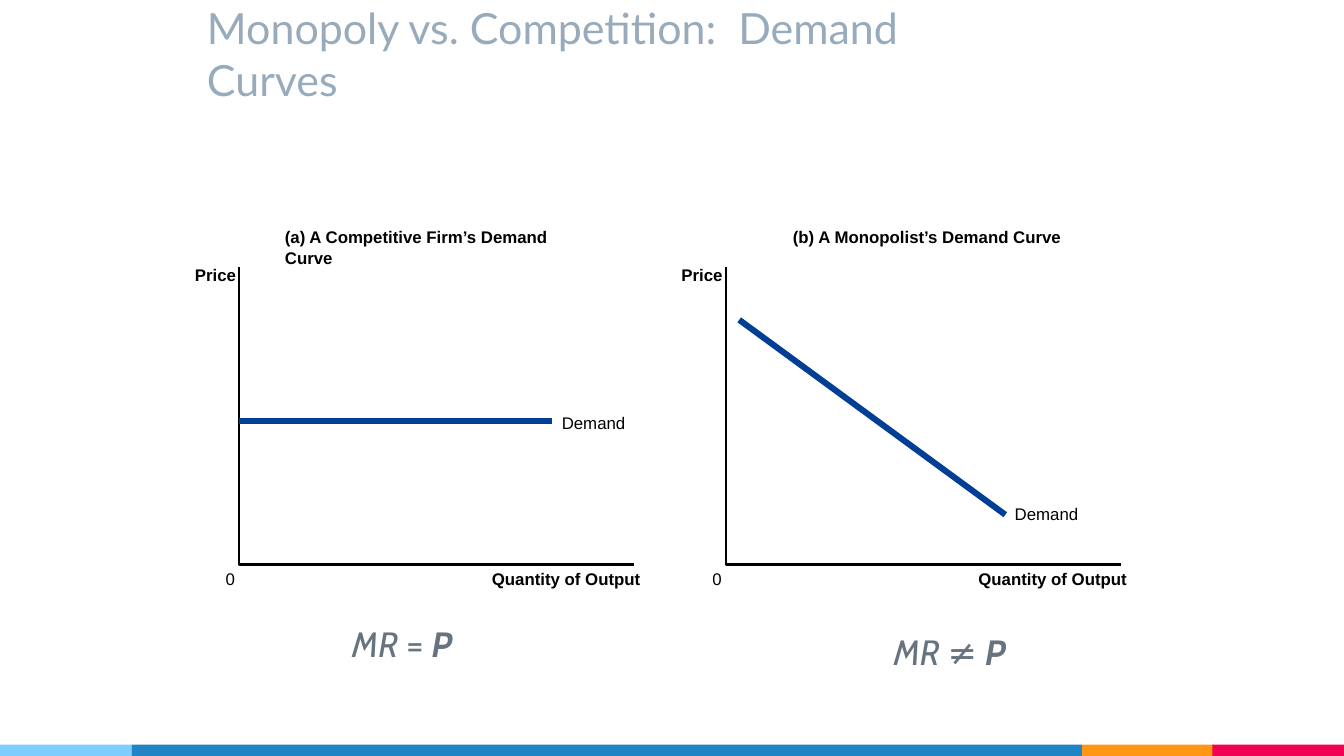
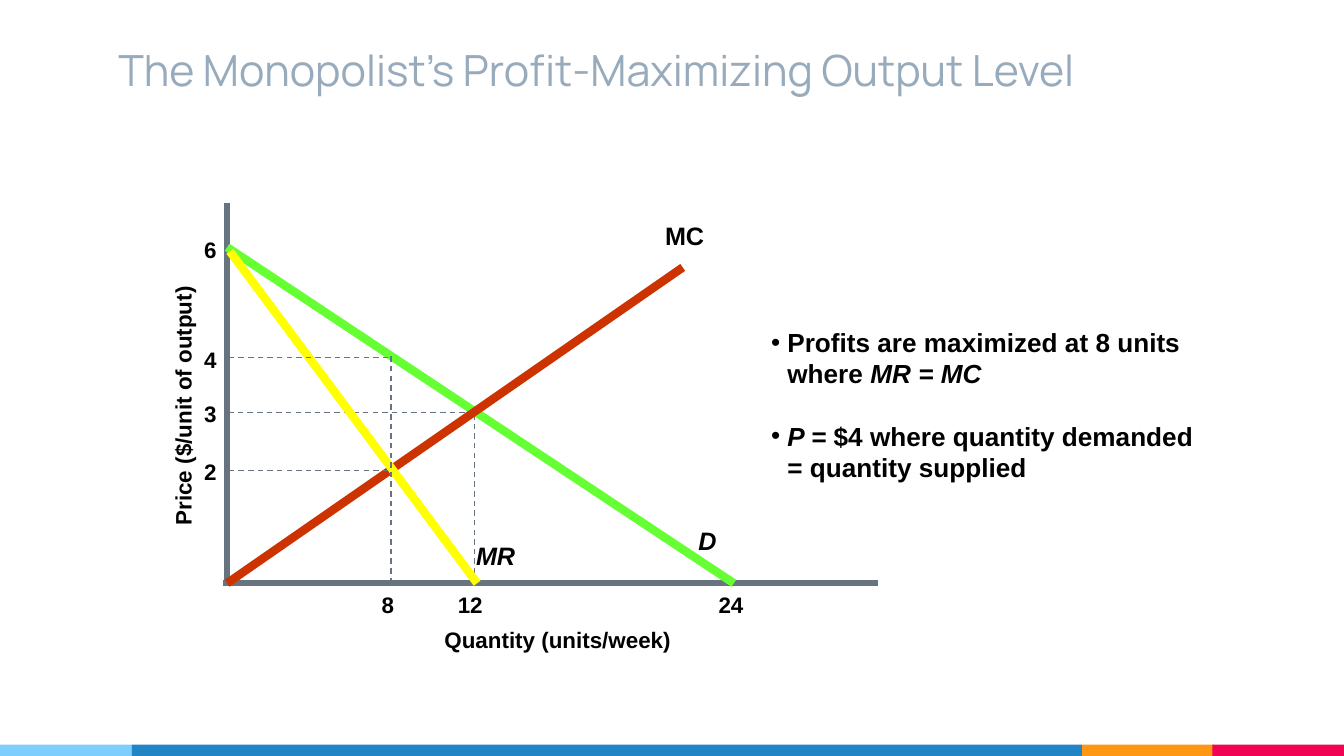
"""Builds two slides on monopoly demand curves and profit-maximizing output."""
from dataclasses import dataclass
from typing import Optional, Sequence

from lxml.etree import SubElement
from pptx import Presentation
from pptx.dml.color import RGBColor
from pptx.enum.dml import MSO_LINE
from pptx.enum.shapes import MSO_CONNECTOR, MSO_SHAPE
from pptx.enum.text import MSO_ANCHOR, MSO_AUTO_SIZE, PP_ALIGN
from pptx.oxml.ns import qn
from pptx.slide import Slide, SlideLayout
from pptx.util import Inches, Pt

BLACK = RGBColor(0x00, 0x00, 0x00)
SLATE = RGBColor(0x67, 0x74, 0x80)
TITLE_GREY = RGBColor(0x97, 0xAB, 0xBC)
NAVY = RGBColor(0x00, 0x3F, 0x95)
GREEN = RGBColor(0x66, 0xFF, 0x33)
RED = RGBColor(0xCC, 0x33, 0x00)
YELLOW = RGBColor(0xFF, 0xFF, 0x00)
SKY = RGBColor(0x7E, 0xCE, 0xFD)
BLUE = RGBColor(0x21, 0x85, 0xC5)
ORANGE = RGBColor(0xFF, 0x97, 0x15)
PINK = RGBColor(0xF2, 0x02, 0x53)

SLIDE_WIDTH = Inches(10)
SLIDE_HEIGHT = Inches(10 * 9 / 16)
BAND_TOP = Inches(5.54)

Point = tuple[float, float]
Box = tuple[float, float, float, float]


@dataclass(frozen=True)
class Words:
    """A stretch of text with its own weight and slant."""
    text: str
    bold: bool = True
    italic: bool = False


@dataclass(frozen=True)
class Style:
    """How a label is set."""
    size: float
    font: str = "Arial"
    color: RGBColor = BLACK
    align: PP_ALIGN = PP_ALIGN.LEFT
    inset: Optional[float] = None
    wrap: bool = True


@dataclass(frozen=True)
class Band:
    """One colour of the footer strip."""
    left: float
    width: float
    color: RGBColor


@dataclass(frozen=True)
class Panel:
    """One demand diagram with its caption and revenue relation."""
    axis_x: float
    caption: str
    caption_left: float
    caption_width: float
    curve: tuple[Point, Point]
    demand_at: Point
    relation: str
    relation_at: Point


@dataclass(frozen=True)
class Tick:
    """A marked value, its place on the axis and the start of its label."""
    value: str
    place: float
    label: float


@dataclass(frozen=True)
class Stroke:
    """A straight line of the output diagram."""
    start: Point
    end: Point
    color: RGBColor = SLATE
    width: float = 0.75
    dashed: bool = True


BANDS = (
    Band(8.05, 0.98, ORANGE),
    Band(9.02, 0.98, PINK),
    Band(0, 0.98, SKY),
    Band(0.98, 7.07, BLUE),
)
SMALL = Style(9, inset=0, wrap=False)
RELATION = Style(18.8, "Cabin", SLATE)
AXIS_TITLE = Style(12, align=PP_ALIGN.CENTER)
TICK = Style(12, align=PP_ALIGN.RIGHT)
CURVE_NAME = Style(13.5, align=PP_ALIGN.RIGHT)
FREE_CURVE_NAME = Style(13.5, wrap=False)
BULLET = Style(14)

PANELS = (
    Panel(1.78, "(a) A Competitive Firm’s Demand Curve", 2.12, 2.34,
          ((1.78, 3.13), (4.11, 3.13)), (4.18, 3.07), " = ", (2.52, 4.58)),
    Panel(5.4, "(b) A Monopolist’s Demand Curve", 5.9, 2.0,
          ((5.5, 2.38), (7.48, 3.83)), (7.55, 3.75), " ≠ ", (6.55, 4.64)),
)

ORIGIN_X, ORIGIN_Y = 1.69, 4.34
GUIDE_X = 1.71
P6, P4, P3, P2 = PRICES = (
    Tick("6", 1.84, 1.71), Tick("4", 2.66, 2.53),
    Tick("3", 3.07, 2.93), Tick("2", 3.5, 3.36),
)
Q8, Q12, Q24 = QUANTITIES = (
    Tick("8", 2.91, 2.57), Tick("12", 3.53, 3.23), Tick("24", 5.46, 5.17),
)
STROKES = (
    Stroke((ORIGIN_X, 1.51), (ORIGIN_X, ORIGIN_Y), SLATE, 3, False),
    Stroke((1.66, ORIGIN_Y), (6.53, ORIGIN_Y), SLATE, 3, False),
    Stroke((Q12.place, ORIGIN_Y), (Q12.place, P3.place)),
    Stroke((Q12.place, P3.place), (GUIDE_X, P3.place)),
    Stroke((ORIGIN_X, P6.place), (Q24.place, ORIGIN_Y), GREEN, 4.5, False),
    Stroke((ORIGIN_X, ORIGIN_Y), (5.08, 1.99), RED, 4.5, False),
    Stroke((GUIDE_X, 1.87), (3.55, ORIGIN_Y), YELLOW, 4.5, False),
    Stroke((2.89, P2.place), (GUIDE_X, P2.place)),
    Stroke((Q8.place, ORIGIN_Y), (Q8.place, 2.65)),
    Stroke((2.89, P4.place), (GUIDE_X, P4.place)),
)
FINDINGS = (
    (Words("Profits are maximized at 8 units where "),
     Words("MR = MC", italic=True)),
    (Words("P = ", italic=True),
     Words("$4 where quantity demanded = quantity supplied")),
)


def add_bands(slide: Slide, layout: SlideLayout) -> None:
    """Draw the footer strip and hand it to the layout all slides share."""
    for placeholder in list(layout.placeholders)[1:]:
        layout.shapes.element.remove(placeholder.element)
    for band in BANDS:
        strip = slide.shapes.add_shape(
            MSO_SHAPE.RECTANGLE, Inches(band.left), BAND_TOP,
            Inches(band.width), SLIDE_HEIGHT - BAND_TOP)
        strip.shadow.inherit = False
        strip.fill.solid()
        strip.fill.fore_color.rgb = band.color
        strip.line.fill.background()
        layout.shapes.element.append(strip.element)


def set_title(slide: Slide, text: str, box: Box, font: str) -> None:
    """Place and style the title placeholder."""
    title = slide.shapes.title
    title.left, title.top, title.width, title.height = map(Inches, box)
    frame = title.text_frame
    frame.text = text
    frame.word_wrap = True
    frame.auto_size = MSO_AUTO_SIZE.NONE
    frame.vertical_anchor = MSO_ANCHOR.BOTTOM
    frame.margin_left = frame.margin_right = Inches(0.1)
    frame.margin_top = frame.margin_bottom = Inches(0.1)
    paragraph = frame.paragraphs[0]
    paragraph.alignment = PP_ALIGN.LEFT
    face = paragraph.runs[0].font
    face.name, face.size, face.color.rgb = font, Pt(23), TITLE_GREY


def add_label(slide: Slide, box: Box, style: Style,
              *lines: Sequence[Words], rotation: float = 0,
              bulleted: bool = False) -> None:
    """Add a text box with one paragraph for each line of words."""
    label = slide.shapes.add_textbox(*map(Inches, box))
    label.rotation = rotation
    frame = label.text_frame
    frame.word_wrap = style.wrap
    if not style.wrap:
        frame.auto_size = MSO_AUTO_SIZE.SHAPE_TO_FIT_TEXT
    if style.inset is not None:
        frame.margin_left = frame.margin_right = Inches(style.inset)
        frame.margin_top = frame.margin_bottom = Inches(style.inset)
    for index, line in enumerate(lines):
        paragraph = frame.add_paragraph() if index else frame.paragraphs[0]
        paragraph.alignment = style.align
        if index:
            paragraph.space_before = Pt(16.5)
        for words in line:
            run = paragraph.add_run()
            run.text = words.text
            face = run.font
            face.name, face.size = style.font, Pt(style.size)
            face.bold, face.italic = words.bold, words.italic
            face.color.rgb = style.color
        if bulleted:
            props = paragraph._p.get_or_add_pPr()
            props.set("marL", str(Inches(0.12)))
            props.set("indent", str(-Inches(0.12)))
            tint = SubElement(props, qn("a:buClr"))
            SubElement(tint, qn("a:srgbClr"), val=str(style.color))
            SubElement(props, qn("a:buFont"), typeface=style.font)
            SubElement(props, qn("a:buChar"), char="•")


def add_stroke(slide: Slide, stroke: Stroke) -> None:
    """Draw a straight line without shadow."""
    ends = map(Inches, (*stroke.start, *stroke.end))
    connector = slide.shapes.add_connector(MSO_CONNECTOR.STRAIGHT, *ends)
    connector.line.color.rgb = stroke.color
    connector.line.width = Pt(stroke.width)
    if stroke.dashed:
        connector.line.dash_style = MSO_LINE.DASH
    SubElement(connector.element.spPr, qn("a:effectLst"))


def add_panel(slide: Slide, panel: Panel) -> None:
    """Draw axes, demand curve and labels of one market."""
    x = panel.axis_x
    builder = slide.shapes.build_freeform(Inches(x), Inches(1.99))
    corner = (Inches(x), Inches(4.2))
    builder.add_line_segments(
        [corner, (Inches(x + 2.94), Inches(4.2))], close=False)
    axes = builder.convert_to_shape()
    axes.shadow.inherit = False
    axes.fill.background()
    axes.line.color.rgb = BLACK
    axes.line.width = Pt(1.13)

    add_stroke(slide, Stroke(*panel.curve, NAVY, 3.25, False))
    labels = (
        (Words(panel.caption),
         (panel.caption_left, 1.69, panel.caption_width, 0.15)),
        (Words("Price"), (x - 0.33, 1.97, 0.31, 0.15)),
        (Words("0", bold=False), (x - 0.1, 4.23, 0.07, 0.15)),
        (Words("Quantity of Output"), (x + 1.88, 4.23, 1.11, 0.15)),
        (Words("Demand", bold=False), (*panel.demand_at, 0.48, 0.15)),
    )
    for words, box in labels:
        add_label(slide, box, SMALL, [words])
    add_label(slide, (*panel.relation_at, 1.09, 0.52), RELATION,
              [Words("MR", False, True), Words(panel.relation, False),
               Words("P", True, True)])


def add_output_diagram(slide: Slide) -> None:
    """Draw the cost and revenue curves with their marked values."""
    for stroke in STROKES:
        add_stroke(slide, stroke)
    for tick in PRICES:
        add_label(slide, (1.33, tick.label, 0.38, 0.3), TICK,
                  [Words(tick.value)])
    for tick in QUANTITIES:
        add_label(slide, (tick.label, 4.35, 0.46, 0.3), TICK,
                  [Words(tick.value)])
    add_label(slide, (-0.45, 2.87, 3.62, 0.3), AXIS_TITLE,
              [Words("Price ($/unit of output)")], rotation=270)
    add_label(slide, (2.52, 4.61, 3.26, 0.3), AXIS_TITLE,
              [Words("Quantity (units/week)")])
    for words, box, style in (
        (Words("D", italic=True), (5.07, 3.86, 0.36, 0.33), CURVE_NAME),
        (Words("MC"), (4.85, 1.59, 0.5, 0.33), FREE_CURVE_NAME),
        (Words("MR", italic=True), (3.41, 3.97, 0.52, 0.33), CURVE_NAME),
    ):
        add_label(slide, box, style, [words])


def main() -> None:
    """Build and save the presentation."""
    deck = Presentation()
    deck.slide_width, deck.slide_height = SLIDE_WIDTH, SLIDE_HEIGHT
    layout = deck.slide_layouts[5]

    comparison = deck.slides.add_slide(layout)
    add_bands(comparison, layout)
    set_title(comparison, "Monopoly vs. Competition:  Demand Curves",
              (1.44, 0.35, 6.4, 0.53), "Lato")
    for panel in PANELS:
        add_panel(comparison, panel)

    output = deck.slides.add_slide(layout)
    set_title(output, "The Monopolist’s Profit-Maximizing Output Level",
              (0.78, 0.25, 8.51, 0.56), "Manrope")
    add_output_diagram(output)
    add_label(output, (5.64, 2.38, 3.44, 1.28), BULLET, *FINDINGS,
              bulleted=True)
    deck.save("out.pptx")


if __name__ == "__main__":
    main()
